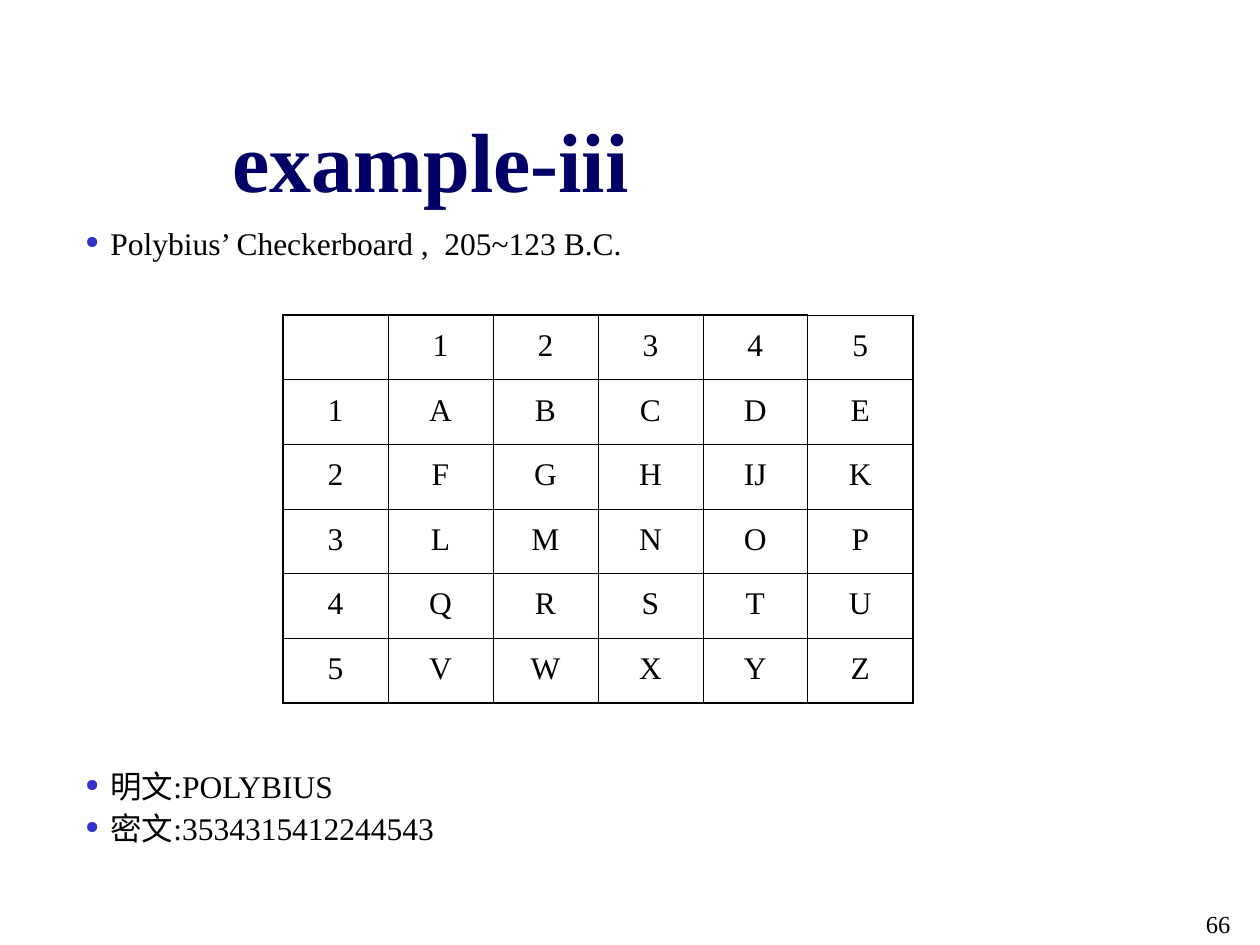
import pptx
import pptx.util
import pptx.dml.color
import pptx.enum.text
import pptx.oxml.ns
from lxml import etree

TITLE = "example-iii"
PAGE_NUMBER = "66"
BULLETS = [
    ("Polybius’ Checkerboard ,  205~123 B.C.", 0),
    ("明文:POLYBIUS", 291),
    ("密文:3534315412244543", 4.5),
]
CHECKERBOARD = [
    ["", "1", "2", "3", "4", "5"],
    ["1", "A", "B", "C", "D", "E"],
    ["2", "F", "G", "H", "IJ", "K"],
    ["3", "L", "M", "N", "O", "P"],
    ["4", "Q", "R", "S", "T", "U"],
    ["5", "V", "W", "X", "Y", "Z"],
]
THEME = {
    "font": "Times New Roman",
    "ink": "000000",
    "title": "000066",
    "bullet": "3333CC",
    "title_size": 48,
    "body_size": 18,
    "number_size": 14,
    "thin": 0.45,
    "thick": 1.08,
}
ALIGN = pptx.enum.text.PP_ALIGN
SCALE = 914400 / 126


def px(length):
    return pptx.util.Emu(round(length * SCALE))


def add_xml(parent, tag, **attributes):
    return etree.SubElement(parent, pptx.oxml.ns.qn(tag), attributes)


def write(para, text, size, color="ink", bold=False, **layout):
    for name, value in layout.items():
        setattr(para, name, value)
    span = para.add_run()
    span.text = text
    font_values = {"name": THEME["font"], "size": pptx.util.Pt(THEME[size]), "bold": bold}
    for name, value in font_values.items():
        setattr(span.font, name, value)
    span.font.color.rgb = pptx.dml.color.RGBColor.from_string(THEME[color])


def add_box(page, left, top, width, height, **frame_values):
    frame = page.shapes.add_textbox(px(left), px(top), px(width), px(height)).text_frame
    for name, value in frame_values.items():
        setattr(frame, name, value)
    return frame


def add_bullet(para):
    properties = para._p.get_or_add_pPr()
    properties.set("marL", str(px(25)))
    properties.set("indent", str(-px(25)))
    add_xml(add_xml(properties, "a:buClr"), "a:srgbClr", val=THEME["bullet"])
    add_xml(properties, "a:buSzPct", val="55000")
    add_xml(properties, "a:buChar", char="●")


def add_borders(cell, thick_sides):
    properties = cell._tc.get_or_add_tcPr()
    for position, side in enumerate("LRTB"):
        weight = THEME["thick" if side in thick_sides else "thin"]
        line = etree.Element(pptx.oxml.ns.qn(f"a:ln{side}"), w=str(pptx.util.Pt(weight)))
        add_xml(add_xml(line, "a:solidFill"), "a:srgbClr", val=THEME["ink"])
        properties.insert(position, line)


def add_checkerboard(page, left, top, width, height):
    rows, columns = len(CHECKERBOARD), len(CHECKERBOARD[0])
    table = page.shapes.add_table(rows, columns, px(left), px(top), px(width), px(height)).table
    table.first_row = table.horz_banding = False
    for column in table.columns:
        column.width = px(width / columns)
    for row in table.rows:
        row.height = px(height / rows)
    last_row, last_column = rows - 1, columns - 1
    for r, letters in enumerate(CHECKERBOARD):
        for c, letter in enumerate(letters):
            cell = table.cell(r, c)
            cell.fill.background()
            outer = {
                "L": c == 0,
                "R": c == last_column,
                "T": r == 0 and c < last_column,
                "B": r == last_row,
            }
            add_borders(cell, [side for side, is_outer in outer.items() if is_outer])
            if letter:
                write(cell.text_frame.paragraphs[0], letter, "body_size",
                      alignment=ALIGN.CENTER, line_spacing=1.2)


def main():
    deck = pptx.Presentation()
    deck.slide_width, deck.slide_height = px(1260), px(945)
    page = deck.slides.add_slide(deck.slide_layouts[6])

    number = add_box(page, 1206, 909, 42, 29, margin_left=0, margin_top=0,
                     margin_right=0, margin_bottom=0)
    write(number.paragraphs[0], PAGE_NUMBER, "number_size")

    body = add_box(page, 73, 222, 1071, 675, word_wrap=True)
    for index, (text, gap) in enumerate(BULLETS):
        para = body.add_paragraph() if index else body.paragraphs[0]
        add_bullet(para)
        write(para, text, "body_size", alignment=ALIGN.JUSTIFY, line_spacing=0.9,
              space_before=pptx.util.Pt(gap))

    add_checkerboard(page, 283, 315, 630, 388)

    title = add_box(page, 220, 95, 630, 113, word_wrap=True, margin_top=px(14), margin_bottom=0)
    write(title.paragraphs[0], TITLE, "title_size", "title", bold=True)
    deck.save("out.pptx")


if __name__ == "__main__":
    main()
